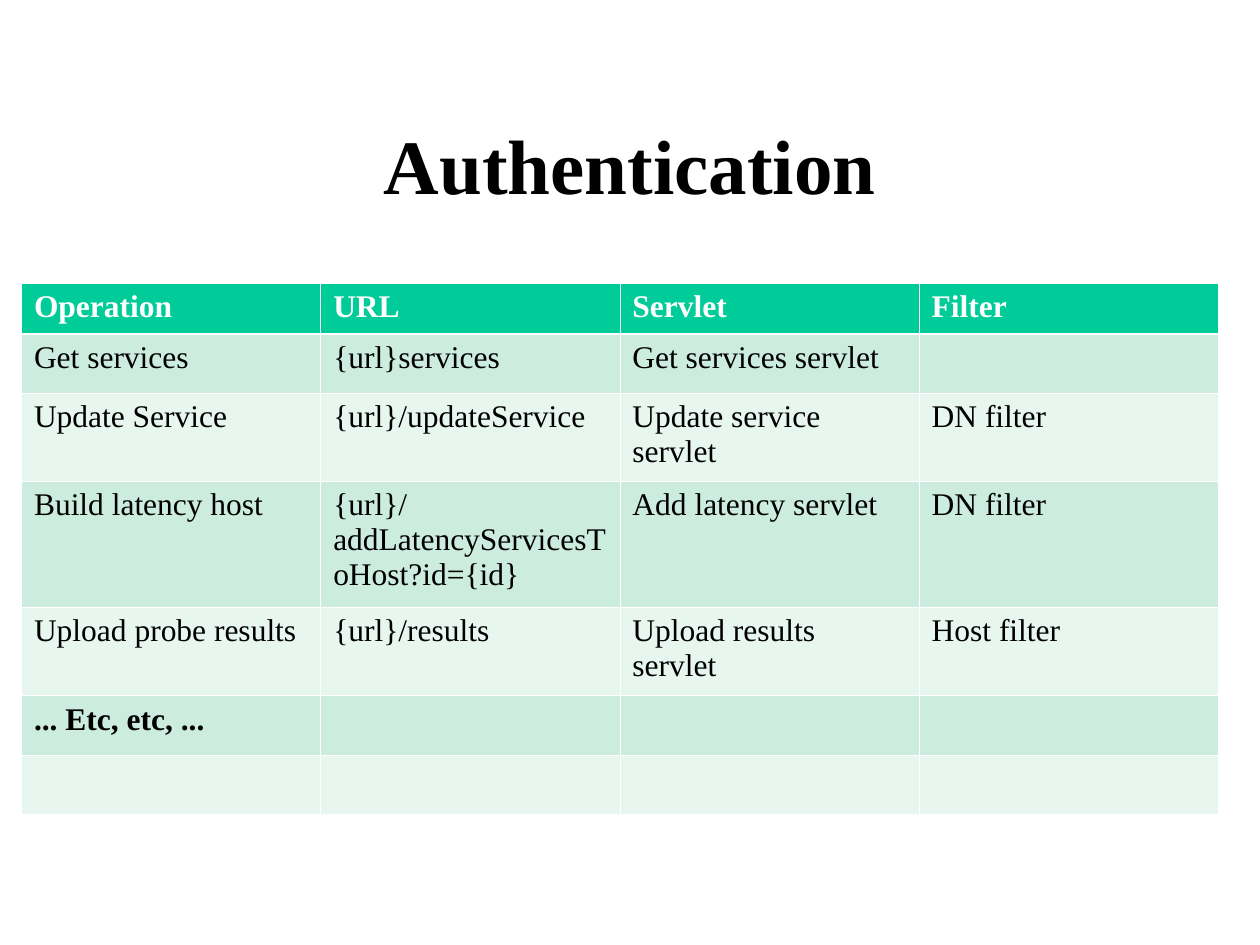
from lxml import etree
from pptx import Presentation
from pptx.dml.color import RGBColor
from pptx.enum.text import MSO_ANCHOR, PP_ALIGN
from pptx.oxml.ns import qn
from pptx.util import Inches, Pt

CENTER = PP_ALIGN.CENTER
MIDDLE = MSO_ANCHOR.MIDDLE

BLACK = RGBColor(0x00, 0x00, 0x00)
WHITE = RGBColor(0xFF, 0xFF, 0xFF)
HEADER_GREEN = RGBColor(0x00, 0xCC, 0x99)
BANDS = (RGBColor(0xCB, 0xEC, 0xDE), RGBColor(0xE7, 0xF6, 0xEF))
FONT = "Times New Roman"
THIN, THICK = Pt(0.45), Pt(1.47)

OPERATIONS = [
    ("Operation", "URL", "Servlet", "Filter"),
    ("Get services", "{url}services", "Get services servlet", ""),
    ("Update Service", "{url}/updateService", "Update service servlet", "DN filter"),
    ("Build latency host", "{url}/addLatencyServicesToHost?id={id}",
     "Add latency servlet", "DN filter"),
    ("Upload probe results", "{url}/results", "Upload results servlet", "Host filter"),
    ("... Etc, etc, ...", "", "", ""),
    ("", "", "", ""),
]
ROW_HEIGHTS = (0.38, 0.47, 0.65, 0.93, 0.65, 0.47, 0.47)
BOLD_ROWS = (0, 5)


def add_run(paragraph, text, size, color, bold):
    run = paragraph.add_run()
    run.text = text
    run.font.name = FONT
    run.font.size = Pt(size)
    run.font.bold = bold
    run.font.color.rgb = color


def set_borders(cell, widths):
    """Draw white left, right, top and bottom borders, ahead of the cell fill."""
    properties = cell._tc.get_or_add_tcPr()
    for position, (side, width) in enumerate(zip(("lnL", "lnR", "lnT", "lnB"), widths)):
        line = etree.Element(qn(f"a:{side}"), w=str(width))
        fill = etree.SubElement(line, qn("a:solidFill"))
        etree.SubElement(fill, qn("a:srgbClr"), val=str(WHITE))
        properties.insert(position, line)


def add_title(slide, left, top, width, height):
    frame = slide.shapes.add_textbox(left, top, width, height).text_frame
    frame.word_wrap = True
    frame.vertical_anchor = MIDDLE
    paragraph = frame.paragraphs[0]
    paragraph.alignment = CENTER
    add_run(paragraph, "Authentication", 44, BLACK, True)


def add_operations_table(slide, left, top, width, height):
    table = slide.shapes.add_table(
        len(OPERATIONS), len(OPERATIONS[0]), left, top, width, height).table
    for row, row_height in zip(table.rows, ROW_HEIGHTS):
        row.height = Inches(row_height)

    for row_index, texts in enumerate(OPERATIONS):
        is_header = row_index == 0
        band = HEADER_GREEN if is_header else BANDS[(row_index - 1) % 2]
        # A thicker rule parts the header from the body
        above = THICK if row_index == 1 else THIN
        below = THICK if is_header else THIN
        for column_index, text in enumerate(texts):
            cell = table.cell(row_index, column_index)
            cell.fill.solid()
            cell.fill.fore_color.rgb = band
            set_borders(cell, (THIN, THIN, above, below))
            if text:
                add_run(cell.text_frame.paragraphs[0], text, 18,
                        WHITE if is_header else BLACK, row_index in BOLD_ROWS)


def main():
    presentation = Presentation()
    presentation.slide_width = Inches(10)
    presentation.slide_height = Inches(7.5)
    slide = presentation.slides.add_slide(presentation.slide_layouts[6])

    add_title(slide, Inches(0.75), Inches(0.67), Inches(8.5), Inches(1.25))
    add_operations_table(slide, Inches(0.17), Inches(2.25), Inches(9.5),
                         Inches(sum(ROW_HEIGHTS)))

    presentation.save("out.pptx")


if __name__ == "__main__":
    main()
